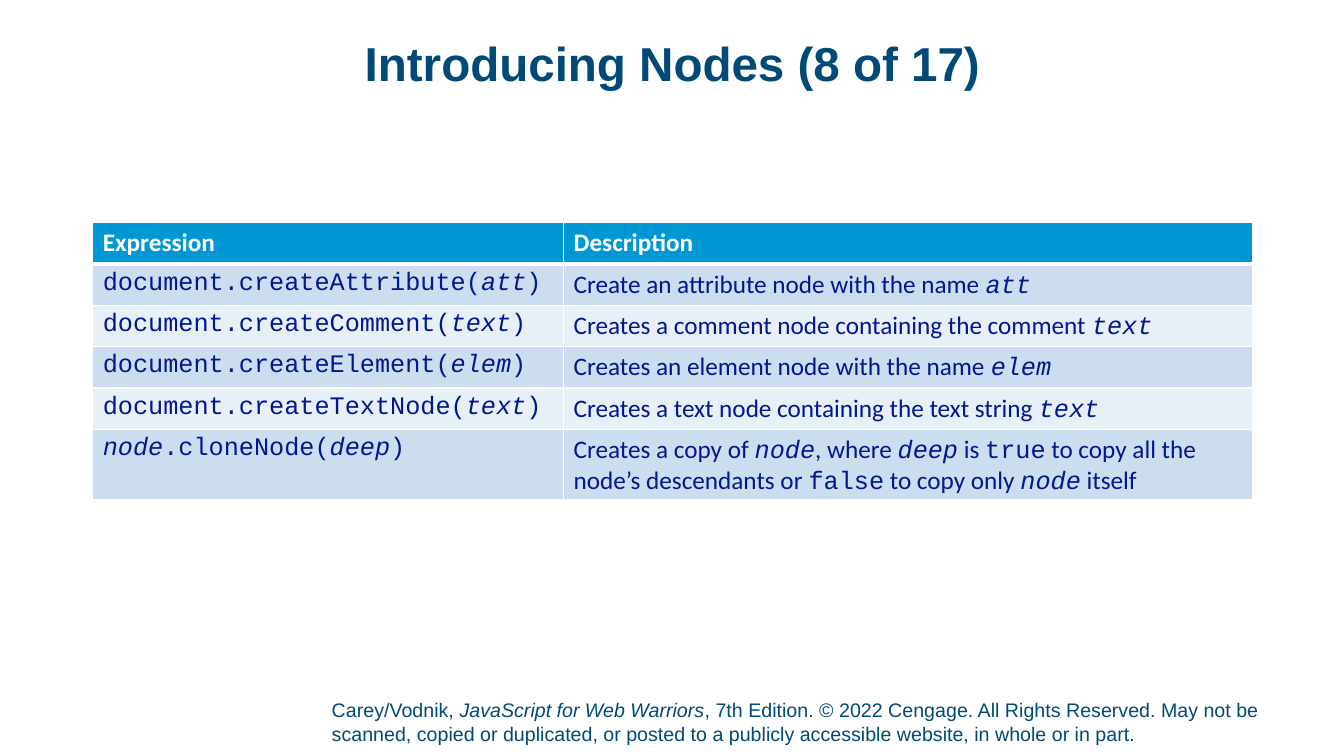
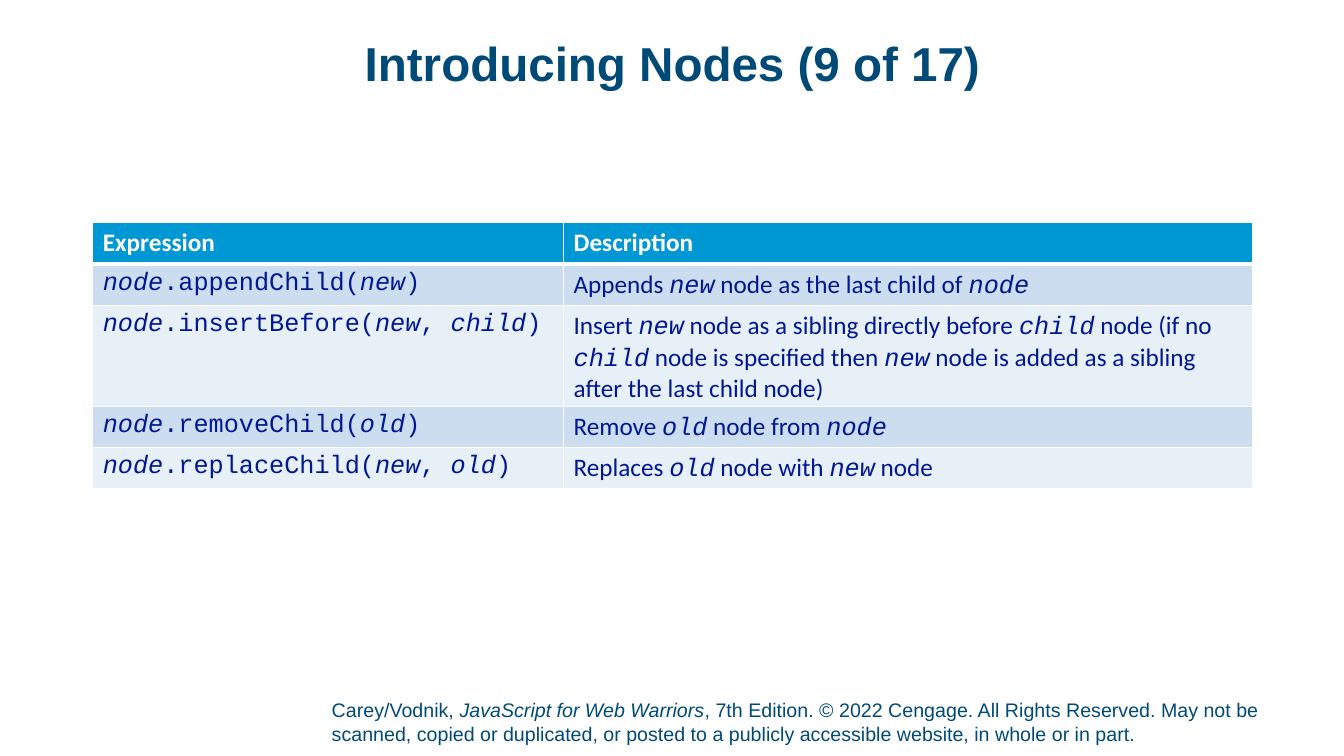
import pptx
import pptx.dml.color
import pptx.enum.text
import pptx.oxml
import pptx.oxml.ns
import pptx.util

PX = 9144  # 100 px to the inch

NAVY, BLUE, INK, WHITE = "004A78", "0098D4", "011892", "FFFFFF"
BANDS = ["CCDDEF", "E7EFF7"]
SANS, BODY, MONO = "Arial", "Calibri", "Courier New"

TABLE_LEFT, TABLE_TOP, ROW_HEIGHT = 92, 221, 41
COLUMN_WIDTHS = [467, 683]
HEADINGS = ["Expression", "Description"]
FOOTER = (
    "Carey/Vodnik, *JavaScript for Web Warriors*, 7th Edition. © 2022 Cengage. "
    "All Rights Reserved. May not be scanned, copied or duplicated, or posted to "
    "a publicly accessible website, in whole or in part."
)

SLIDES = [
    ("Introducing Nodes (8 of 17)", [
        ("document.createAttribute(*att*)", "Create an attribute node with the name *att*"),
        ("document.createComment(*text*)", "Creates a comment node containing the comment *text*"),
        ("document.createElement(*elem*)", "Creates an element node with the name *elem*"),
        ("document.createTextNode(*text*)", "Creates a text node containing the text string *text*"),
        ("*node*.cloneNode(*deep*)",
         "Creates a copy of *node*, where *deep* is `true` to copy all the node’s "
         "descendants or `false` to copy only *node* itself"),
    ]),
    ("Introducing Nodes (9 of 17)", [
        ("*node*.appendChild(*new*)", "Appends *new* node as the last child of *node*"),
        ("*node*.insertBefore(*new*, *child*)",
         "Insert *new* node as a sibling directly before *child* node (if no *child* node "
         "is specified then *new* node is added as a sibling after the last child node)"),
        ("*node*.removeChild(*old*)", "Remove *old* node from *node*"),
        ("*node*.replaceChild(*new*, *old*)", "Replaces *old* node with *new* node"),
    ]),
]


def px(length):
    return pptx.util.Emu(length * PX)


def color(value):
    return pptx.dml.color.RGBColor.from_string(value)


def write_text(frame, text, *, size, ink, font, marked_font=None, bold=False,
               align=pptx.enum.text.PP_ALIGN.LEFT, line_spacing=None):
    """Write one paragraph; *word* is italic, and it and `word` take marked_font."""
    para = frame.paragraphs[0]
    para.alignment = align
    para.line_spacing = line_spacing
    for i, part in enumerate(text.split("*")):
        for j, piece in enumerate(part.split("`")):
            if not piece:
                continue
            italic, code = i % 2 == 1, j % 2 == 1
            span = para.add_run()
            span.text = piece
            span.font.size = pptx.util.Pt(size)
            span.font.name = (marked_font or font) if italic or code else font
            span.font.bold = bold
            span.font.italic = italic
            span.font.color.rgb = color(ink)


def add_text_box(page, left, top, width, height, text, *, anchor, bottom_inset=0, **style):
    box = page.shapes.add_textbox(px(left), px(top), px(width), px(height))
    frame = box.text_frame
    frame.word_wrap = True
    frame.vertical_anchor = anchor
    frame.margin_left = frame.margin_top = frame.margin_right = 0
    frame.margin_bottom = px(bottom_inset)
    write_text(frame, text, **style)


def add_title(page, text):
    add_text_box(page, 92, 40, 1150, 74, text, anchor=pptx.enum.text.MSO_ANCHOR.TOP,
                 size=34, ink=NAVY, font=SANS, bold=True,
                 align=pptx.enum.text.PP_ALIGN.CENTER, line_spacing=0.9)


def add_footer(page):
    add_text_box(page, 329, 692, 979, 52, FOOTER, anchor=pptx.enum.text.MSO_ANCHOR.BOTTOM,
                 bottom_inset=5, size=14, ink=NAVY, font=SANS)


def set_borders(cell, **widths):
    """Draw white borders; widths in points are named by side: L, R, T, B."""
    properties = cell._tc.get_or_add_tcPr()
    for side, width in widths.items():
        properties.append(pptx.oxml.parse_xml(
            f'<a:ln{side} {pptx.oxml.ns.nsdecls("a")} w="{pptx.util.Pt(width)}">'
            f'<a:solidFill><a:srgbClr val="{WHITE}"/></a:solidFill></a:ln{side}>'))


def fill_cell(cell, text, fill, top=1, bottom=1, **style):
    set_borders(cell, L=1, R=1, T=top, B=bottom)
    cell.fill.solid()
    cell.fill.fore_color.rgb = color(fill)
    write_text(cell.text_frame, text, size=18, marked_font=MONO, **style)


def add_expression_table(page, entries):
    row_count = len(entries) + 1
    table = page.shapes.add_table(
        row_count, len(HEADINGS), px(TABLE_LEFT), px(TABLE_TOP),
        px(sum(COLUMN_WIDTHS)), px(row_count * ROW_HEIGHT)).table
    for column, width in zip(table.columns, COLUMN_WIDTHS):
        column.width = px(width)
    for row in table.rows:
        row.height = px(ROW_HEIGHT)
    for c, heading in enumerate(HEADINGS):
        fill_cell(table.cell(0, c), heading, BLUE, bottom=3, ink=WHITE, font=BODY, bold=True)
    for r, entry in enumerate(entries, start=1):
        for c, (text, font) in enumerate(zip(entry, [MONO, BODY])):
            fill_cell(table.cell(r, c), text, BANDS[(r - 1) % 2],
                      top=3 if r == 1 else 1, ink=INK, font=font)


def main():
    deck = pptx.Presentation()
    deck.slide_width, deck.slide_height = px(1333), px(750)
    for title, entries in SLIDES:
        page = deck.slides.add_slide(deck.slide_layouts[6])
        add_footer(page)
        add_title(page, title)
        add_expression_table(page, entries)
    deck.save("out.pptx")


if __name__ == "__main__":
    main()
